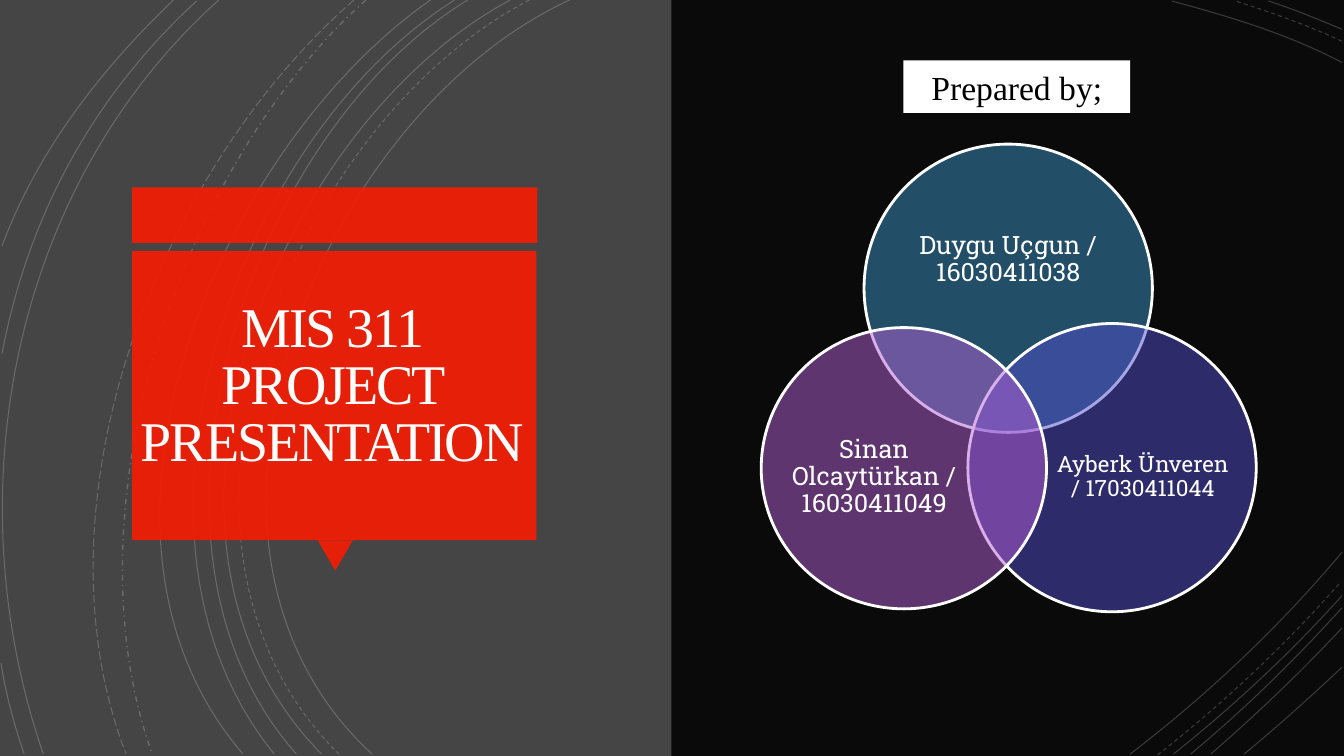
from dataclasses import dataclass

from lxml.etree import SubElement
from pptx import Presentation
from pptx.dml.color import RGBColor
from pptx.enum.dml import MSO_LINE_DASH_STYLE as Dash
from pptx.enum.shapes import MSO_SHAPE as Preset
from pptx.enum.text import MSO_ANCHOR as Anchor, PP_ALIGN as Align
from pptx.oxml.ns import qn
from pptx.util import Inches, Pt


@dataclass(frozen=True)
class Theme:
    background: str = "454545"
    panel: str = "000001"
    accent: str = "F81B02"
    white: str = "FFFFFF"
    title_text: str = "FFFEFF"
    label_text: str = "000000"
    teal: str = "3B95C4"
    indigo: str = "524DCC"
    violet: str = "B560D4"
    serif: str = "Times New Roman"
    slab: str = "Roboto Slab"
    title_size: int = 40
    label_size: int = 24
    name_size: int = 18
    small_name_size: int = 16


THEME = Theme()

# Start, two control points and end of each arc
SOLID_ARCS = [
    [(5.65, 0), (3.15, 1.15), (1.43, 5.4), (3.69, 7.48)],
    [(5.06, 0), (2.7, 1.27), (1.1, 5.37), (3.19, 7.48)],
    [(4.64, 0), (2.44, 1.33), (1.1, 5.41), (2.94, 7.48)],
    [(4.51, 0), (2.31, 1.38), (0.97, 5.33), (2.72, 7.48)],
    [(4.27, 0), (2.17, 1.47), (0.53, 5.29), (2.41, 7.48)],
    [(2.17, 0), (0.11, 1.85), (-0.46, 4.9), (0.43, 7.48)],
    [(1.95, 0.01), (0.92, 0.96), (0.28, 2.14), (0.02, 3.51)],
    [(0.01, 6.58), (0.06, 6.89), (0.14, 7.19), (0.24, 7.48)],
    [(1.72, 0), (1, 0.69), (0.37, 1.5), (0.02, 2.44)],
    [(13.31, 0.62), (12.78, 0.34), (12.18, 0.16), (11.62, 0.01)],
    [(13.31, 0.29), (13.07, 0.19), (12.83, 0.09), (12.58, 0.01)],
    [(11.21, 7.48), (11.97, 6.9), (12.69, 6.22), (13.31, 5.48)],
    [(11.64, 7.48), (12.23, 7.01), (12.8, 6.48), (13.31, 5.91)],
    [(11.81, 7.48), (12.34, 7.04), (12.84, 6.55), (13.31, 6.03)],
    [(12.01, 7.48), (12.46, 7.09), (12.9, 6.67), (13.31, 6.23)],
    [(12.34, 7.48), (12.67, 7.21), (12.99, 6.92), (13.31, 6.62)],
]
DASHED_ARCS = [
    [(5.25, 0), (2.85, 1.25), (1.23, 5.37), (3.36, 7.48)],
    [(13.31, 0.41), (12.97, 0.25), (12.6, 0.12), (12.25, 0.01)],
    [(11.48, 7.49), (12.13, 6.98), (12.75, 6.4), (13.3, 5.77)],
]
DASH_DOT_ARC = [(3.63, 0), (1.76, 1.66), (0.65, 5.09), (1.51, 7.48)]
LONG_DASH_ARC = [(3.51, 0), (1.57, 1.69), (0.29, 4.99), (1.25, 7.48)]

# Circle box, colour, name box, name, type size
MEMBERS = [
    ((8.57, 1.43, 2.86, 2.86), THEME.teal, (8.95, 1.93, 2.1, 1.29),
     "Duygu Uçgun / 16030411038", THEME.name_size),
    ((9.6, 3.21, 2.86, 2.86), THEME.indigo, (10.48, 3.95, 1.71, 1.57),
     "Ayberk Ünveren / 17030411044", THEME.small_name_size),
    ((7.55, 3.25, 2.83, 2.79), THEME.violet, (7.82, 3.97, 1.7, 1.53),
     "Sinan Olcaytürkan / 16030411049", THEME.name_size),
]


def apply_format(target, values):
    for name, value in values.items():
        setattr(target, name, value)


def paint(fill, color, opacity=100):
    """Make a fill solid, with opacity in percent."""
    fill.solid()
    fill.fore_color.rgb = RGBColor.from_string(color)
    if opacity < 100:
        color_element = fill._xPr.find(".//" + qn("a:srgbClr"))
        SubElement(color_element, qn("a:alpha"), val=str(opacity * 1000))


def add_arc(slide, points, dash=Dash.SOLID, width=0.75):
    """Draw one open cubic curve from four points."""
    start, *others = [(Inches(x), Inches(y)) for x, y in points]
    builder = slide.shapes.build_freeform(*start)
    builder.add_line_segments(others, close=False)
    shape = builder.convert_to_shape()
    outline = shape.element.find(".//" + qn("a:path"))
    segments = outline.findall(qn("a:lnTo"))
    curve = SubElement(outline, qn("a:cubicBezTo"))
    for segment in segments:
        curve.append(segment[0])
        outline.remove(segment)
    shape.shadow.inherit = False
    shape.fill.background()
    paint(shape.line.fill, THEME.white, 20)
    apply_format(shape.line, {"width": Pt(width), "dash_style": dash})


def add_block(slide, preset, box, color, opacity=100, line_width=0, rotation=0):
    shape = slide.shapes.add_shape(preset, *map(Inches, box))
    shape.shadow.inherit = False
    shape.rotation = rotation
    paint(shape.fill, color, opacity)
    if line_width:
        paint(shape.line.fill, THEME.white)
        shape.line.width = Pt(line_width)
    else:
        shape.line.fill.background()
    return shape


def write(shape, text, font, size, color, margin=None, line_spacing=1.0):
    """Put centred text in a shape and return its run."""
    frame = shape.text_frame
    apply_format(frame, {"word_wrap": True, "vertical_anchor": Anchor.MIDDLE})
    if margin is not None:
        sides = ("left", "top", "right", "bottom")
        apply_format(frame, {f"margin_{side}": Inches(margin) for side in sides})
    paragraph = frame.paragraphs[0]
    apply_format(paragraph, {"alignment": Align.CENTER, "line_spacing": line_spacing})
    run = paragraph.add_run()
    run.text = text
    apply_format(run.font, {"name": font, "size": Pt(size)})
    run.font.color.rgb = RGBColor.from_string(color)
    return run


def add_text(slide, box, *args, **options):
    return write(slide.shapes.add_textbox(*map(Inches, box)), *args, **options)


def add_arcs(slide):
    for points in SOLID_ARCS:
        add_arc(slide, points)
    for points in DASHED_ARCS:
        add_arc(slide, points, Dash.DASH)
    add_arc(slide, DASH_DOT_ARC, Dash.DASH_DOT, 1)
    add_arc(slide, LONG_DASH_ARC, Dash.LONG_DASH)


def add_title_card(slide):
    add_block(slide, Preset.RECTANGLE, (1.31, 1.86, 4.02, 0.55), THEME.accent, 90)
    add_block(slide, Preset.ISOSCELES_TRIANGLE, (3.15, 5.36, 0.35, 0.3),
              THEME.accent, 90, rotation=180)
    add_block(slide, Preset.RECTANGLE, (1.31, 2.49, 4.01, 2.87), THEME.accent, 90)
    title = add_text(slide, (1.13, 2.31, 4.33, 3.06), "MIS 311 PROJECT PRESENTATION",
                     THEME.serif, THEME.title_size, THEME.title_text,
                     margin=0.25, line_spacing=0.85)
    title.font._element.set("spc", "-150")


def add_member_circles(slide):
    for circle_box, color, name_box, name, size in MEMBERS:
        add_block(slide, Preset.OVAL, circle_box, color, 50, line_width=2)
        add_text(slide, name_box, name, THEME.slab, size, THEME.white,
                 margin=0, line_spacing=0.9)


def main():
    presentation = Presentation()
    apply_format(presentation, {"slide_width": Inches(13.33), "slide_height": Inches(7.5)})
    slide = presentation.slides.add_slide(presentation.slide_layouts[6])
    paint(slide.background.fill, THEME.background)
    add_block(slide, Preset.RECTANGLE, (6.66, 0, 6.67, 7.5), THEME.panel, 85)
    add_arcs(slide)
    add_title_card(slide)
    add_member_circles(slide)
    label = add_block(slide, Preset.RECTANGLE, (8.96, 0.6, 2.25, 0.52), THEME.white)
    write(label, "Prepared by;", THEME.serif, THEME.label_size, THEME.label_text)
    presentation.save("out.pptx")


if __name__ == "__main__":
    main()
